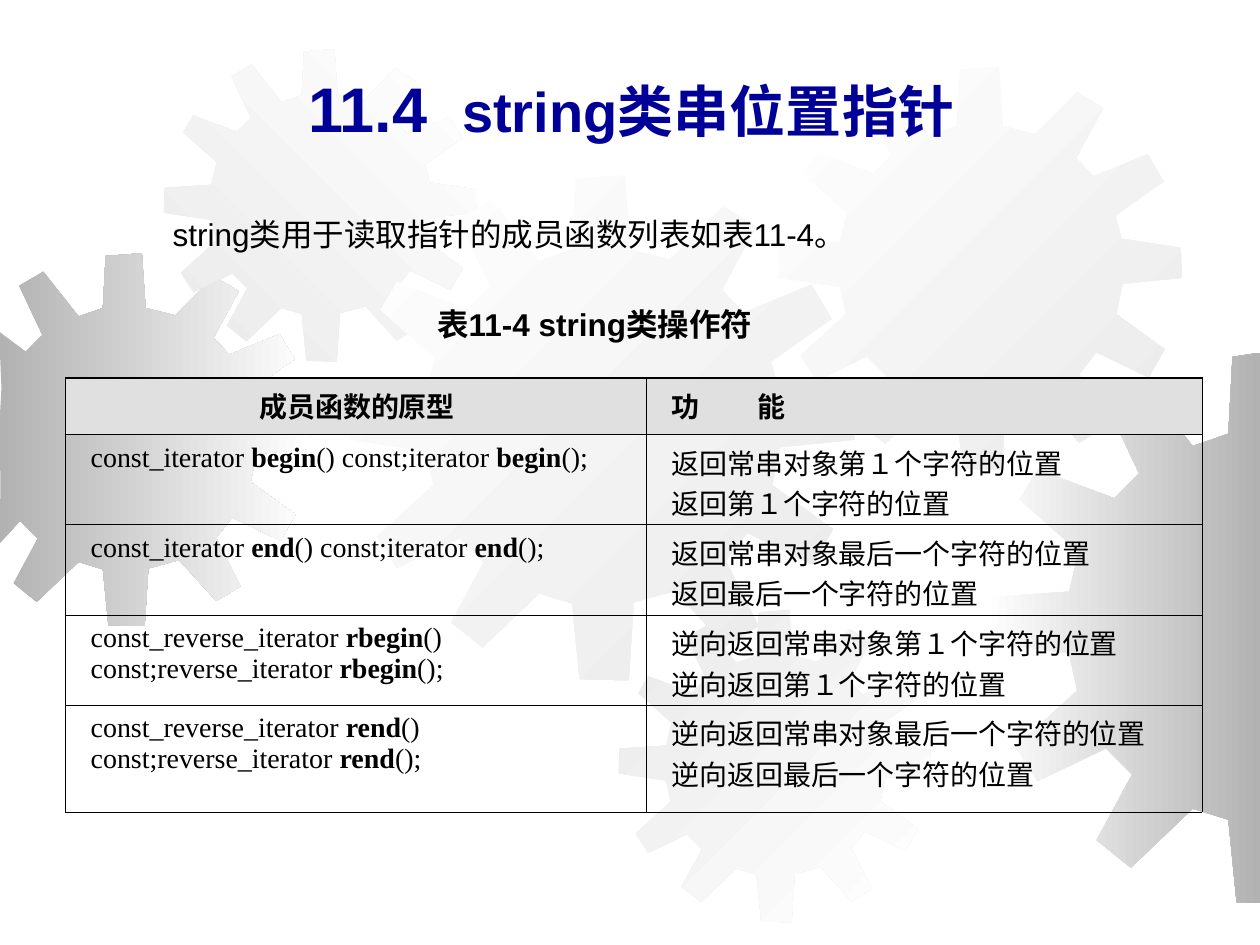
from lxml import etree
from pptx import Presentation
from pptx.dml.color import RGBColor
from pptx.enum.text import MSO_ANCHOR, PP_ALIGN
from pptx.oxml import parse_xml
from pptx.oxml.ns import nsdecls, qn
from pptx.util import Inches, Pt

MIDDLE = MSO_ANCHOR.MIDDLE
LEFT, CENTER = PP_ALIGN.LEFT, PP_ALIGN.CENTER


def rgb(value):
    return RGBColor.from_string(value)


def style(r, size, font, bold=False, color="000000"):
    r.font.size = Pt(size)
    r.font.name = font
    r.font.bold = bold
    r.font.color.rgb = rgb(color)


prs = Presentation()
prs.slide_width, prs.slide_height = Inches(10), Inches(7.5)
W, H = prs.slide_width, prs.slide_height
COL, ROW = W / 100, H / 75
s = prs.slides.add_slide(prs.slide_layouts[6])
s.background.fill.solid()
s.background.fill.fore_color.rgb = rgb("FFFFFF")

GEAR_SIZE = 401
GEAR = [
    (255, 67), (223, 59), (219, 0), (180, 3), (177, 59), (151, 68),
    (113, 20), (87, 35), (112, 88), (94, 106), (38, 85), (25, 107),
    (68, 145), (61, 174), (1, 178), (0, 210), (61, 219), (67, 246),
    (22, 287), (38, 312), (88, 288), (107, 307), (81, 355), (106, 375),
    (151, 332), (177, 340), (183, 400), (222, 401), (226, 339), (259, 330),
    (299, 374), (325, 358), (299, 306), (316, 284), (368, 309), (384, 281),
    (336, 246), (342, 216), (401, 210), (400, 180), (341, 171), (335, 148),
    (383, 114), (367, 87), (313, 109), (296, 91), (323, 41), (297, 25),
]
gears = [
    (-4.9, 20.1, 29.6, "B2B2B2", "FFFFFF", 0),
    (13, 3.9, 24.8, "EAEAEA", "FFFFFF", 45),
    (27.7, 13.9, 40.1, "FFFFFF", "EAEAEA", 315),
    (0, 52.5, 37.4, "FFFFFF", None, 0),
    (49.1, 48.4, 24.8, "EAEAEA", "FFFFFF", 315),
    (61.8, 5.3, 32, "FFFFFF", "EAEAEA", 315),
    (78.2, 28, 43.7, "FFFFFF", "B2B2B2", 0),
]
for left, top, size, start, end, angle in gears:
    scale = size / GEAR_SIZE
    points = [
        (min(max(int((left + x * scale) * COL), 0), W),
         min(max(int((top + y * scale) * ROW), 0), H))
        for x, y in GEAR
    ]
    outline = s.shapes.build_freeform(*points[0])
    outline.add_line_segments(points[1:], close=True)
    sp = outline.convert_to_shape()
    sp.shadow.inherit = False
    sp.line.fill.background()
    if end:
        sp.fill.gradient()
        sp.fill.gradient_angle = angle
        for stop, color, position in zip(sp.fill.gradient_stops, (start, end), (0, 1)):
            stop.color.rgb = rgb(color)
            stop.position = position
    else:
        sp.fill.solid()
        sp.fill.fore_color.rgb = rgb(start)
        clr = sp.fill._xPr.find(".//" + qn("a:srgbClr"))
        etree.SubElement(clr, qn("a:alpha")).set("val", "50000")

texts = [
    (8.3, 16.2, 86.6, 4.8, 5.4, LEFT, "000000",
     [("string类用于读取指针的成员函数列表如表11-4。", 18, False)]),
    (5.1, 5.2, 90, 6.6, 1, CENTER, "000099",
     [("11.4  ", 36, True), ("string类串位置指针", 32, True)]),
    (32.7, 23.3, 42.1, 4.8, 2, LEFT, "000000",
     [("表11-4 string类操作符", 18, True)]),
]
for x, y, w, h, inset, align, color, runs in texts:
    sp = s.shapes.add_textbox(int(x * COL), int(y * ROW), int(w * COL), int(h * ROW))
    tf = sp.text_frame
    tf.word_wrap = True
    tf.vertical_anchor = MIDDLE
    tf.margin_left = int(inset * COL)
    p = tf.paragraphs[0]
    p.alignment = align
    for text, size, bold in runs:
        r = p.add_run()
        r.text = text
        style(r, size, "Arial", bold, color)

rows = [("const_iterator ", "begin", "对象第１个字符的位置", "", "第１个字符的位置"),
        ("const_iterator ", "end", "对象最后一个字符的位置", "", "最后一个字符的位置"),
        ("const_reverse_iterator ", "rbegin", "对象第１个字符的位置", "逆向", "第１个字符的位置"),
        ("const_reverse_iterator ", "rend", "对象最后一个字符的位置", "逆向", "最后一个字符的位置")]
cells = [[[[("成员函数的原型", True)]], [[("功\t能", True)]]]]
for kind, name, const_place, prefix, place in rows:
    plain = kind.removeprefix("const_")
    prototype = [(kind, False), (name, True), ("() const;" + plain, False),
                 (name, True), ("();", False)]
    cells.append([[prototype], [[(prefix + "返回常串" + const_place, False)],
                                [(prefix + "返回" + place, False)]]])

widths, heights = (46.1, 44.1), (4.5, 7.15, 7.15, 7.15, 8.5)
tbl = s.shapes.add_table(len(heights), len(widths), int(5.2 * COL), int(30 * ROW),
                         int(sum(widths) * COL), int(sum(heights) * ROW)).table
tbl.first_row = tbl.horz_banding = False
for column, width in zip(tbl.columns, widths):
    column.width = int(width * COL)
for row, height in zip(tbl.rows, heights):
    row.height = int(height * ROW)

for i, row in enumerate(cells):
    for j, paragraphs in enumerate(row):
        cell = tbl.cell(i, j)
        cell.margin_left, cell.margin_right = int(2 * COL), int(1.8 * COL)
        cell.margin_top, cell.margin_bottom = int(0.6 * ROW), int(0.2 * ROW)
        tcPr = cell._tc.get_or_add_tcPr()
        for side in "LRTB":
            width = Pt(0.96 if side == "T" and i == 0 else 0.45)
            tcPr.append(parse_xml(
                f'<a:ln{side} {nsdecls("a")} w="{width}"><a:solidFill>'
                f'<a:srgbClr val="000000"/></a:solidFill></a:ln{side}>'))
        if i == 0:
            cell.fill.solid()
            cell.fill.fore_color.rgb = rgb("E0E0E0")
        else:
            cell.fill.background()
        tf = cell.text_frame
        for n, runs in enumerate(paragraphs):
            p = tf.add_paragraph() if n else tf.paragraphs[0]
            p.alignment = CENTER if (i, j) == (0, 0) else LEFT
            if (i, j) == (0, 1):
                tabs = etree.SubElement(p._p.get_or_add_pPr(), qn("a:tabLst"))
                tab = etree.SubElement(tabs, qn("a:tab"))
                tab.set("pos", str(int(6.8 * COL)))
                tab.set("algn", "l")
            for text, bold in runs:
                r = p.add_run()
                r.text = text
                style(r, 16, "Times New Roman", bold)

prs.save("out.pptx")
